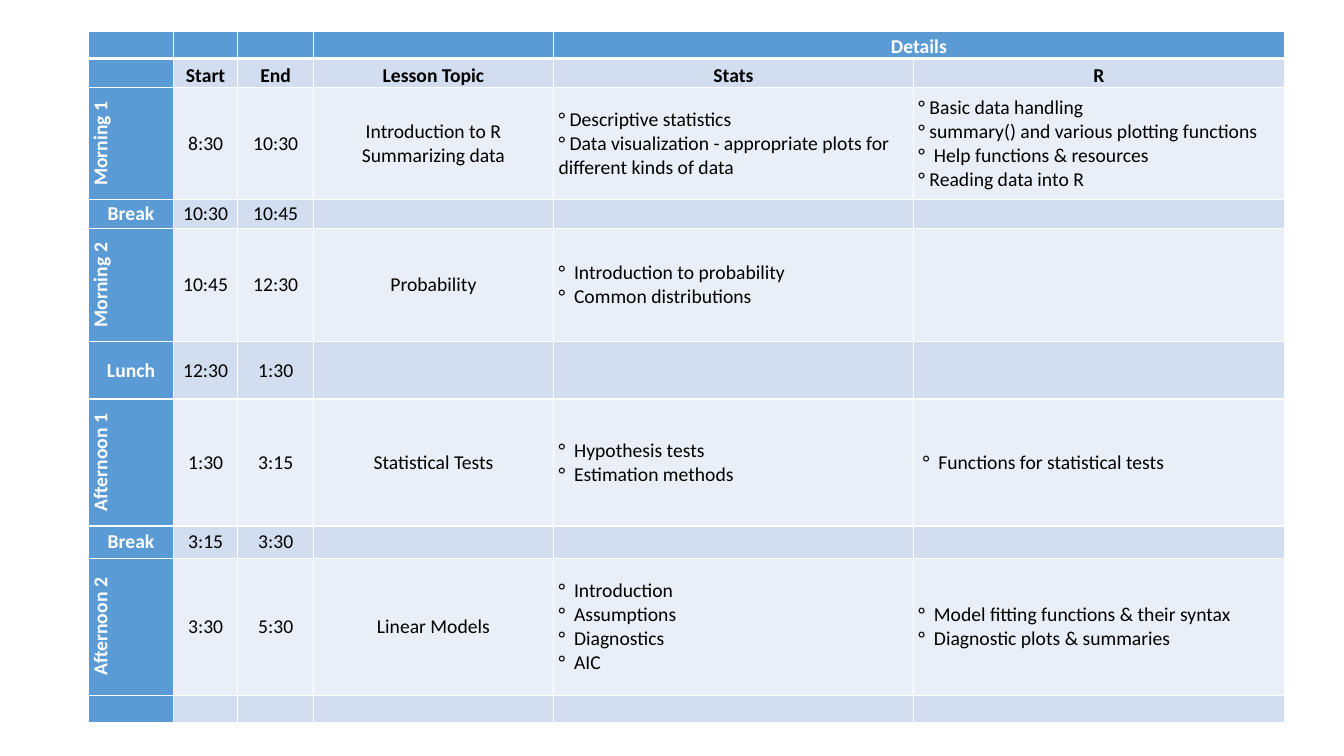
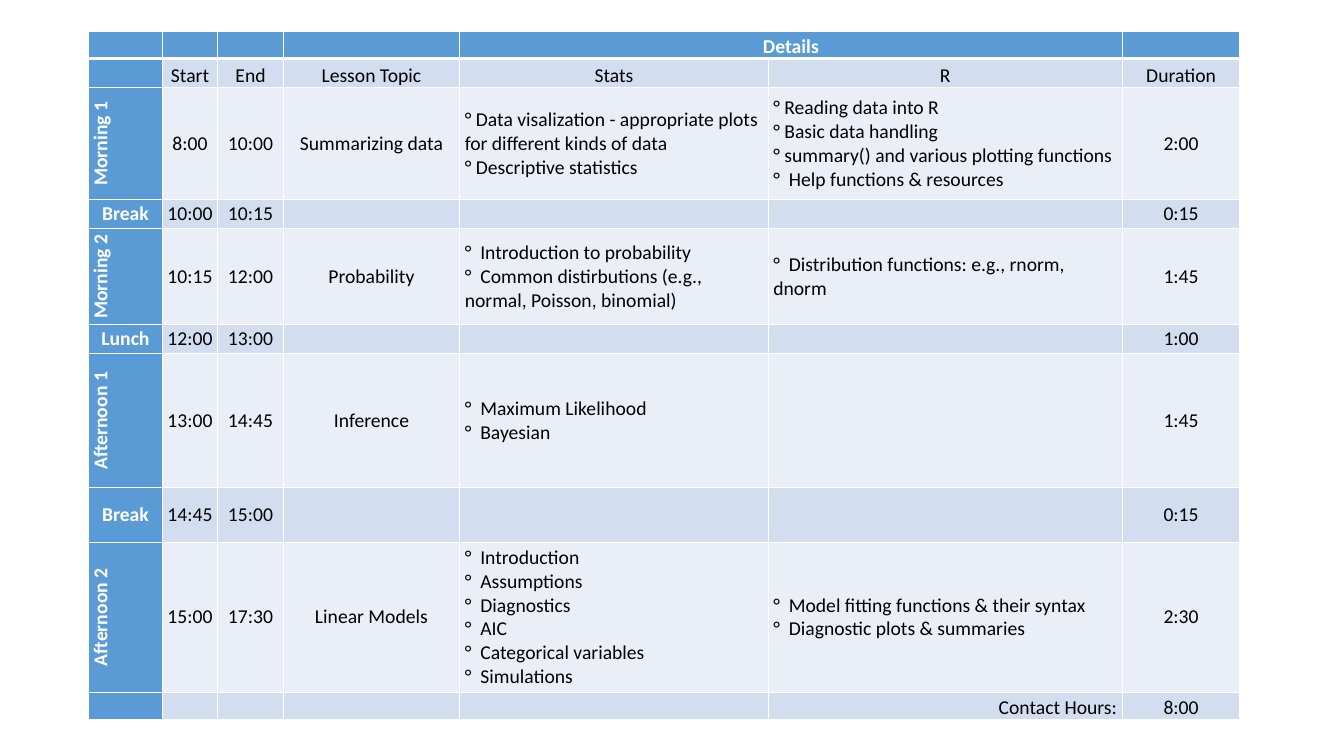
from lxml import etree
from pptx import Presentation
from pptx.dml.color import RGBColor
from pptx.enum.text import MSO_ANCHOR, PP_ALIGN
from pptx.oxml.ns import qn
from pptx.util import Inches, Pt

LEFT, CENTER, RIGHT = PP_ALIGN.LEFT, PP_ALIGN.CENTER, PP_ALIGN.RIGHT
MIDDLE, BOTTOM = MSO_ANCHOR.MIDDLE, MSO_ANCHOR.BOTTOM

WHITE = RGBColor(0xFF, 0xFF, 0xFF)
BLACK = RGBColor(0x00, 0x00, 0x00)
BLUE = RGBColor(0x5B, 0x9B, 0xD5)
BAND_DARK = RGBColor(0xD2, 0xDE, 0xEF)
BAND_LIGHT = RGBColor(0xEA, 0xEF, 0xF7)

DETAIL_COLUMNS = (4, 5)
THIN, THICK = Pt(1), Pt(3)

DETAILS_ROW = ("", "", "", "", "Details")
HEADINGS = ("", "Start", "End", "Lesson Topic", "Stats", "R")
MODEL_STEPS = "°  Introduction\n°  Assumptions\n°  Diagnostics\n°  AIC"
MODEL_FUNCTIONS = ("°  Model fitting functions & their syntax\n"
                   "°  Diagnostic plots & summaries")

FIRST_COLUMNS = (0.84, 0.64, 0.75, 2.38, 3.57, 3.68)
FIRST_ROWS = (0.27, 0.29, 1.11, 0.29, 1.12, 0.57, 1.26, 0.32, 1.36, 0.27)
FIRST_SCHEDULE = (
    DETAILS_ROW,
    HEADINGS,
    ("Morning 1", "8:30", "10:30", "Introduction to R\nSummarizing data",
     "° Descriptive statistics\n"
     "° Data visualization - appropriate plots for different kinds of data",
     "° Basic data handling\n° summary() and various plotting functions\n"
     "°  Help functions & resources\n° Reading data into R"),
    ("Break", "10:30", "10:45"),
    ("Morning 2", "10:45", "12:30", "Probability",
     "°  Introduction to probability\n°  Common distributions"),
    ("Lunch", "12:30", "1:30"),
    ("Afternoon 1", "1:30", "3:15", "Statistical Tests",
     "°  Hypothesis tests\n°  Estimation methods",
     " °  Functions for statistical tests"),
    ("Break", "3:15", "3:30"),
    ("Afternoon 2", "3:30", "5:30", "Linear Models", MODEL_STEPS, MODEL_FUNCTIONS),
    (),
)

SECOND_COLUMNS = (0.73, 0.55, 0.65, 1.75, 3.06, 3.51, 1.17)
SECOND_ROWS = (0.27, 0.29, 1.11, 0.29, 0.95, 0.29, 1.33, 0.54, 1.49, 0.27)
SECOND_SCHEDULE = (
    DETAILS_ROW,
    HEADINGS + ("Duration",),
    ("Morning 1", "8:00", "10:00", "Summarizing data",
     "° Data visalization - appropriate plots for different kinds of data\n"
     "° Descriptive statistics",
     "° Reading data into R\n° Basic data handling\n"
     "° summary() and various plotting functions\n°  Help functions & resources",
     "2:00"),
    ("Break", "10:00", "10:15", "", "", "", "0:15"),
    ("Morning 2", "10:15", "12:00", "Probability",
     "°  Introduction to probability\n"
     "°  Common distirbutions (e.g., normal, Poisson, binomial)",
     "°  Distribution functions: e.g., rnorm, dnorm", "1:45"),
    ("Lunch", "12:00", "13:00", "", "", "", "1:00"),
    ("Afternoon 1", "13:00", "14:45", "Inference",
     "°  Maximum Likelihood\n°  Bayesian", "", "1:45"),
    ("Break", "14:45", "15:00", "", "", "", "0:15"),
    ("Afternoon 2", "15:00", "17:30", "Linear Models",
     MODEL_STEPS + "\n°  Categorical variables\n°  Simulations",
     MODEL_FUNCTIONS, "2:30"),
    ("", "", "", "", "", "Contact Hours:", "8:00"),
)


class ScheduleDeck:
    font_name = "Calibri"
    font_size = Pt(14)
    left, top = Inches(0.88), Inches(0.31)
    side_margin = Inches(0.05)

    def __init__(self):
        self.presentation = Presentation()
        self.presentation.slide_width = Inches(13.33)
        self.presentation.slide_height = Inches(7.5)
        self.slide = None

    def add_slide(self):
        blank = self.presentation.slide_layouts[6]
        self.slide = self.presentation.slides.add_slide(blank)

    def add_schedule(self, column_widths, row_heights, schedule, bold_headings):
        frame = self.slide.shapes.add_table(
            len(row_heights), len(column_widths), self.left, self.top,
            Inches(sum(column_widths)), Inches(sum(row_heights)))
        table = frame.table
        for column, width in zip(table.columns, column_widths):
            column.width = Inches(width)
        for row, height in zip(table.rows, row_heights):
            row.height = Inches(height)
        first, last = DETAIL_COLUMNS
        table.cell(0, first).merge(table.cell(0, last))

        last_row = len(row_heights) - 1
        for row, texts in enumerate(schedule):
            is_session = 1 < row < last_row
            for column in range(len(column_widths)):
                cell = table.cell(row, column)
                is_header = row == 0 or column == 0
                self.fill_cell(cell, row, is_header)
                cell.vertical_anchor = MIDDLE if is_session else BOTTOM
                if is_session and row % 2 == 0 and column == 0:
                    cell._tc.get_or_add_tcPr().set("vert", "vert270")
                alignment = CENTER
                if column in DETAIL_COLUMNS and row > 1:
                    alignment = LEFT if is_session else RIGHT
                self.write_cell(
                    cell, texts[column] if column < len(texts) else "", alignment,
                    WHITE if is_header else BLACK,
                    is_header or (row == 1 and bold_headings))

    def fill_cell(self, cell, row, is_header):
        """Set the margins, white borders and band colour of a cell."""
        cell.margin_left = cell.margin_right = self.side_margin
        cell.margin_top = cell.margin_bottom = 0
        properties = cell._tc.get_or_add_tcPr()
        widths = {"a:lnL": THIN, "a:lnR": THIN,
                  "a:lnT": THICK if row == 1 else THIN,
                  "a:lnB": THICK if row == 0 else THIN}
        for tag, width in widths.items():
            line = etree.SubElement(properties, qn(tag), w=str(width))
            fill = etree.SubElement(line, qn("a:solidFill"))
            etree.SubElement(fill, qn("a:srgbClr"), val=str(WHITE))
        cell.fill.solid()
        band = BAND_DARK if row % 2 else BAND_LIGHT
        cell.fill.fore_color.rgb = BLUE if is_header else band

    def write_cell(self, cell, text, alignment, color, bold):
        cell.text_frame.text = text
        for paragraph in cell.text_frame.paragraphs:
            paragraph.alignment = alignment
            font = paragraph.font
            font.name, font.size = self.font_name, self.font_size
            font.bold = bold
            font.color.rgb = color


def main():
    deck = ScheduleDeck()
    deck.add_slide()
    deck.add_schedule(FIRST_COLUMNS, FIRST_ROWS, FIRST_SCHEDULE, bold_headings=True)
    deck.add_slide()
    deck.add_schedule(SECOND_COLUMNS, SECOND_ROWS, SECOND_SCHEDULE, bold_headings=False)
    deck.presentation.save("out.pptx")


if __name__ == "__main__":
    main()
